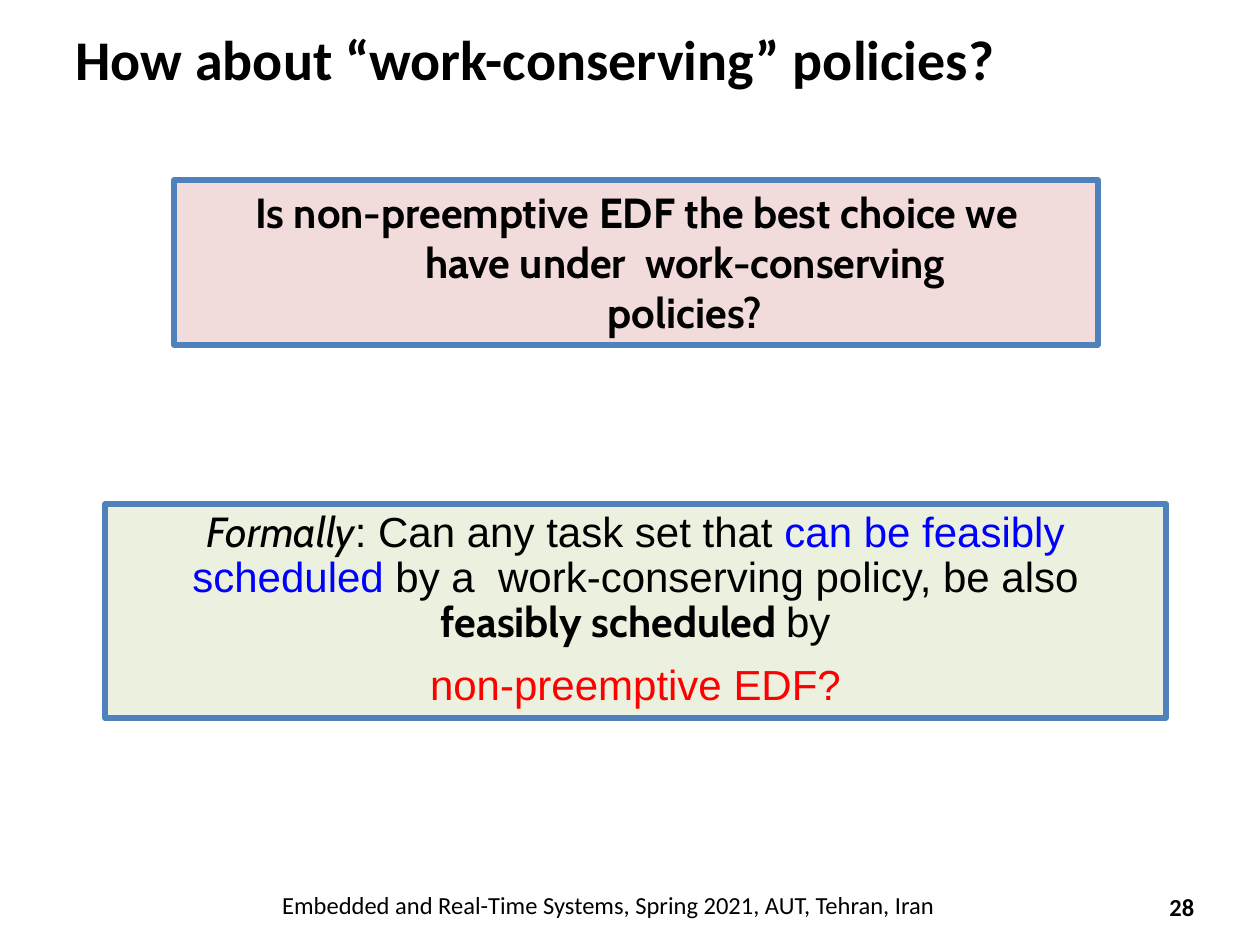
import pptx
import pptx.dml.color
import pptx.enum.shapes
import pptx.enum.text
import pptx.util

ALIGN = pptx.enum.text.PP_ALIGN
ANCHOR = pptx.enum.text.MSO_ANCHOR
PX = 914400 // 126


def px(n):
    return pptx.util.Emu(n * PX)


def color(value):
    return pptx.dml.color.RGBColor.from_string(value)


def set_font(font, size, name, value="000000", bold=False, italic=False):
    font.size = pptx.util.Pt(size)
    font.name = name
    font.bold = bold
    font.italic = italic
    font.color.rgb = color(value)


def set_indent(p, left, first=0, right=0):
    pPr = p._p.get_or_add_pPr()
    for key, n in (("marL", left), ("indent", first), ("marR", right)):
        pPr.set(key, str(px(n)))


def add_title(slide, box, text):
    sp = slide.shapes.title
    sp.left, sp.top, sp.width, sp.height = map(px, box)
    tf = sp.text_frame
    tf.text = text
    tf.vertical_anchor = ANCHOR.MIDDLE
    p = tf.paragraphs[0]
    p.alignment = ALIGN.LEFT
    set_font(p.font, 32, "Calibri", bold=True)


def add_label(slide, box, text, bold=False):
    """Add a centred line of footer text."""
    tf = slide.shapes.add_textbox(*map(px, box)).text_frame
    tf.word_wrap = True
    tf.vertical_anchor = ANCHOR.MIDDLE
    tf.margin_left = tf.margin_right = tf.margin_top = tf.margin_bottom = 0
    p = tf.paragraphs[0]
    p.text = text
    p.alignment = ALIGN.CENTER
    set_font(p.font, 14, "Calibri", bold=bold)


def add_panel(slide, box, fill):
    """Add a bordered rectangle and return its text frame."""
    sp = slide.shapes.add_shape(
        pptx.enum.shapes.MSO_SHAPE.RECTANGLE, *map(px, box))
    sp.shadow.inherit = False
    sp.fill.solid()
    sp.fill.fore_color.rgb = color(fill)
    sp.line.color.rgb = color("4F81BD")
    sp.line.width = pptx.util.Pt(3)
    tf = sp.text_frame
    tf.word_wrap = True
    tf.vertical_anchor = ANCHOR.TOP
    return tf


def add_question(slide, box):
    p = add_panel(slide, box, "F2DCDB").paragraphs[0]
    p.text = ("Is non-preemptive EDF the best choice we have under"
              "  work-conserving policies?")
    p.alignment = ALIGN.CENTER
    set_indent(p, 164, -97, 66)
    set_font(p.font, 24, "Cabin", bold=True)


def add_formal_question(slide, box):
    tf = add_panel(slide, box, "EBF1DE")
    p = tf.paragraphs[0]
    p.alignment = ALIGN.CENTER
    p.line_spacing = pptx.util.Pt(25.9)
    set_indent(p, 1, right=1)
    for text, style in (
        ("Formally", {"name": "Cabin", "italic": True}),
        (": Can any task set that ", {"name": "Arial"}),
        ("can be feasibly scheduled ", {"name": "Arial", "value": "0000FF"}),
        ("by a  work-conserving policy, be also ", {"name": "Arial"}),
        ("feasibly scheduled ", {"name": "Cabin", "bold": True}),
        ("by", {"name": "Arial"}),
    ):
        r = p.add_run()
        r.text = text
        set_font(r.font, 24, **style)

    p = tf.add_paragraph()
    p.text = "non-preemptive EDF?"
    p.alignment = ALIGN.CENTER
    p.space_before = pptx.util.Pt(6.8)
    set_indent(p, 1, right=1)
    set_font(p.font, 24, "Arial", "FF0000")


def main():
    prs = pptx.Presentation()
    prs.slide_width = pptx.util.Inches(10)
    prs.slide_height = pptx.util.Inches(7.5)
    slide = prs.slides.add_slide(prs.slide_layouts[5])
    add_title(slide, (63, 0, 1134, 116),
              "How about “work-conserving” policies?")
    add_label(slide, (1145, 882, 74, 50), "28", bold=True)
    add_label(slide, (136, 883, 945, 43),
              "Embedded and Real-Time Systems, Spring 2021, AUT, Tehran, Iran")
    add_question(slide, (174, 180, 924, 165))
    add_formal_question(slide, (105, 504, 1061, 214))
    prs.save("out.pptx")


if __name__ == "__main__":
    main()
